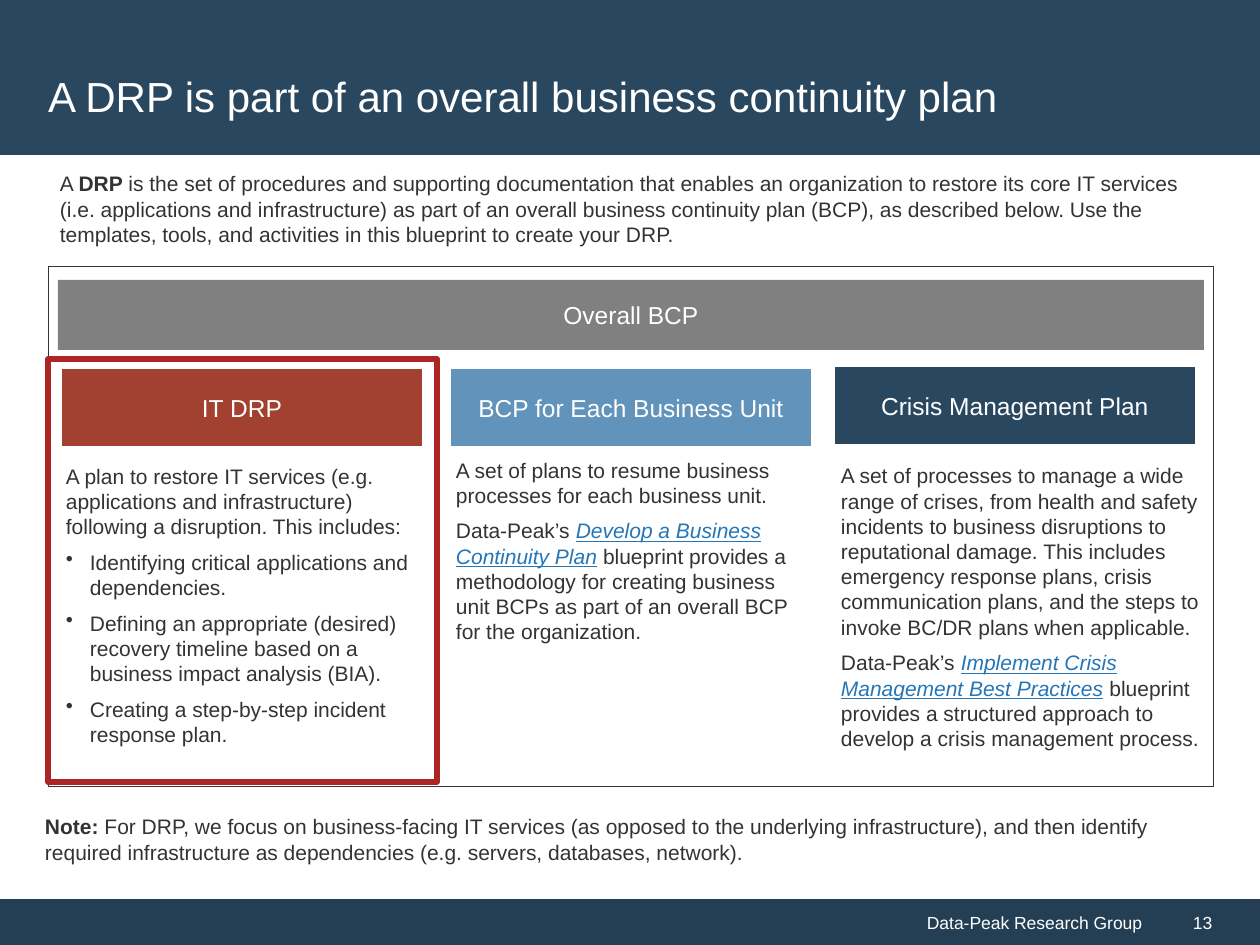
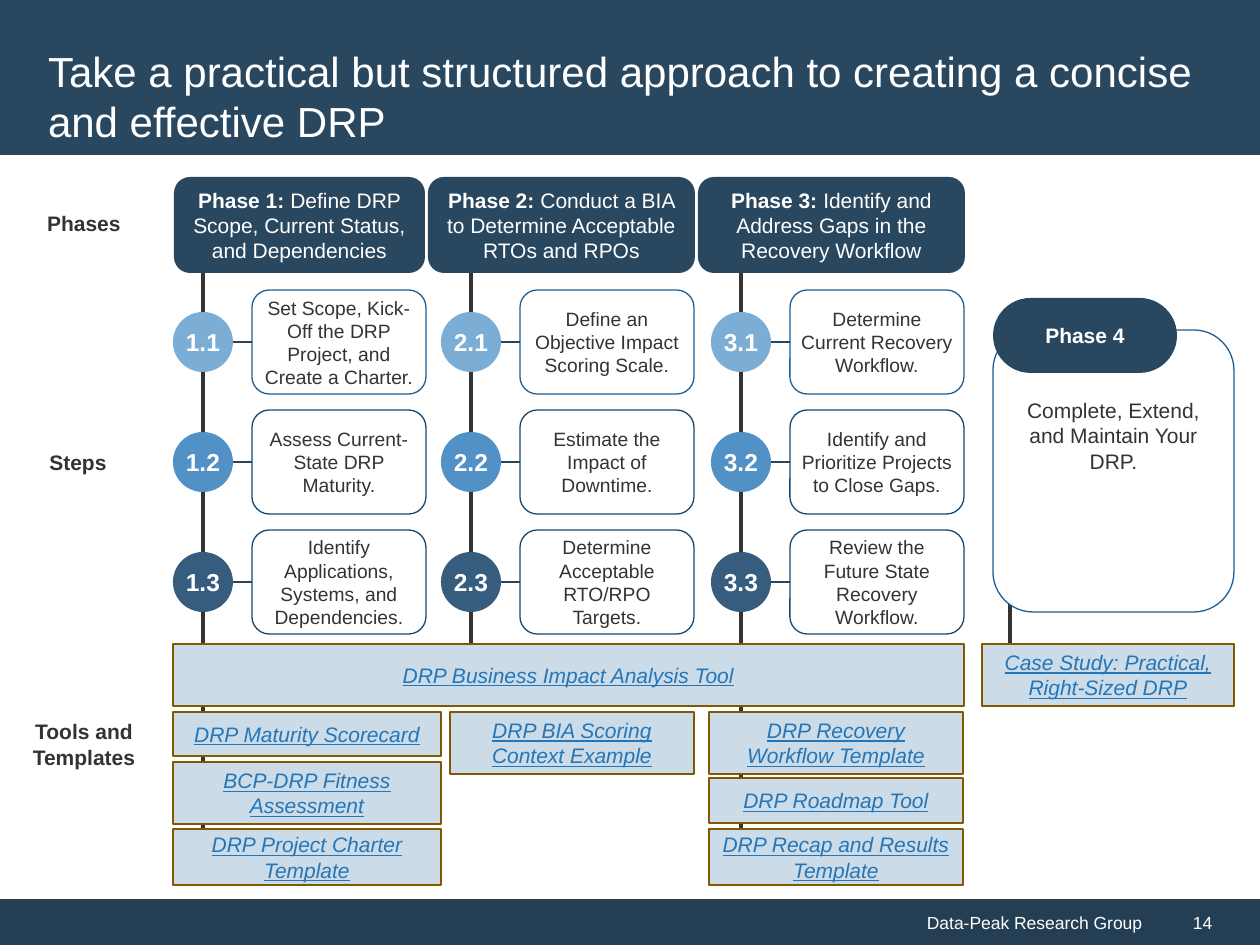
from dataclasses import dataclass

from lxml import etree
from pptx import Presentation
from pptx.dml.color import RGBColor
from pptx.enum.shapes import MSO_CONNECTOR, MSO_SHAPE
from pptx.enum.text import MSO_ANCHOR, PP_ALIGN
from pptx.oxml.ns import qn
from pptx.util import Emu, Pt

RECT, ROUND, OVAL = MSO_SHAPE.RECTANGLE, MSO_SHAPE.ROUNDED_RECTANGLE, MSO_SHAPE.OVAL
STRAIGHT = MSO_CONNECTOR.STRAIGHT
LEFT, CENTER, RIGHT = PP_ALIGN.LEFT, PP_ALIGN.CENTER, PP_ALIGN.RIGHT
TOP, MIDDLE = MSO_ANCHOR.TOP, MSO_ANCHOR.MIDDLE
LEFT_SIDE = 1
PX = 914400 / 126


@dataclass(frozen=True)
class Theme:
    font: str = "Arial"
    white: str = "FFFFFF"
    ink: str = "333333"
    navy: str = "29475F"
    footer: str = "243F54"
    link: str = "2576B7"
    gray: str = "808080"
    blue: str = "6294BB"
    rust: str = "A24130"
    red: str = "AD2525"
    joint: str = "27465E"
    tool_fill: str = "CBDBE7"
    tool_line: str = "825800"
    step_fills: tuple = ("7CADD4", "5191C5", "365D7E")
    step_lines: tuple = ("1E5E92", "16476E", "16476E")
    title_size: int = 24
    heading_size: int = 14
    body_size: int = 12
    step_size: int = 11
    footer_size: int = 10


THEME = Theme()
BOLD = {"bold": True}
LINK = {"color": THEME.link, "italic": True, "underline": True}


def add_block(slide, frame, text=(), kind=RECT, fill=None, line=None, line_width=0.75,
              size=THEME.body_size, color=THEME.ink, align=LEFT, anchor=MIDDLE,
              insets=(13, 6, 13, 6), before=0, after=0, spacing=None, **style):
    """Add a shape, or a text box if kind is None.

    text is one string or a list of paragraphs; a paragraph is a string or a
    list of runs, each a string or a (string, style) pair.
    """
    box = [Emu(round(value * PX)) for value in frame]
    if kind is None:
        shape = slide.shapes.add_textbox(*box)
    else:
        shape = slide.shapes.add_shape(kind, *box)
        shape.shadow.inherit = False
        if fill:
            shape.fill.solid()
            shape.fill.fore_color.rgb = RGBColor.from_string(fill)
        else:
            shape.fill.background()
        if line:
            shape.line.color.rgb = RGBColor.from_string(line)
            shape.line.width = Pt(line_width)
        else:
            shape.line.fill.background()
    text_frame = shape.text_frame
    text_frame.word_wrap = True
    text_frame.vertical_anchor = anchor
    for side, inset in zip(("left", "top", "right", "bottom"), insets):
        setattr(text_frame, f"margin_{side}", Emu(round(inset * PX)))
    for index, content in enumerate([text] if isinstance(text, str) else text):
        paragraph = text_frame.add_paragraph() if index else text_frame.paragraphs[0]
        paragraph.alignment = align
        paragraph.space_before, paragraph.space_after = Pt(before), Pt(after)
        if spacing:
            paragraph.line_spacing = spacing
        runs = [content] if isinstance(content, str) else content
        if isinstance(content, str) and content.startswith("• "):
            runs = [content[2:]]
            properties = paragraph._p.get_or_add_pPr()
            indent = round(24 * PX)
            properties.set("marL", str(indent))
            properties.set("indent", str(-indent))
            etree.SubElement(properties, qn("a:buChar"), char="•")
        for part in runs:
            words, extra = (part, {}) if isinstance(part, str) else part
            look = {"color": color, **style, **extra}
            run = paragraph.add_run()
            run.text = words
            run.font.name, run.font.size = THEME.font, Pt(size)
            run.font.color.rgb = RGBColor.from_string(look.pop("color"))
            for name, value in look.items():
                setattr(run.font, name, value)
    return shape


def add_line(slide, start, end, color, width):
    points = [Emu(round(value * PX)) for value in (*start, *end)]
    connector = slide.shapes.add_connector(STRAIGHT, *points)
    connector.line.color.rgb = RGBColor.from_string(color)
    connector.line.width = Pt(width)
    etree.SubElement(connector._element.spPr, qn("a:effectLst"))
    return connector


presentation = Presentation()
presentation.slide_width, presentation.slide_height = Emu(round(1260 * PX)), Emu(round(945 * PX))

# Title band and footer on both slides
TITLES = {
    13: "A DRP is part of an overall business continuity plan",
    14: "Take a practical but structured approach to creating a concise and effective DRP",
}
slides = []
for number, title in TITLES.items():
    slide = presentation.slides.add_slide(presentation.slide_layouts[6])
    footer = {"fill": THEME.footer, "size": THEME.footer_size, "color": THEME.white}
    add_block(slide, (0, 899, 1155, 46), "Data-Peak Research Group", align=RIGHT, **footer)
    add_block(slide, (1155, 899, 105, 46), str(number), insets=(38, 6, 13, 6), **footer)
    add_block(slide, (0, 0, 1260, 155), fill=THEME.navy)
    add_block(slide, (35, 35, 1188, 121), title, kind=None,
              size=THEME.title_size, color=THEME.white)
    slides.append(slide)
bcp_slide, roadmap_slide = slides

# Slide 13: parts of the business continuity plan
add_block(bcp_slide, (47, 165, 1162, 90), [[
    "A ", ("DRP ", BOLD),
    "is the set of procedures and supporting documentation that enables an organization to "
    "restore its core IT services (i.e. applications and infrastructure) as part of an overall "
    "business continuity plan (BCP), as described below. Use the templates, tools, and "
    "activities in this blueprint to create your DRP."]], kind=None, anchor=TOP, before=6)
add_block(bcp_slide, (32, 807, 1191, 64), [[
    ("Note:", BOLD),
    " For DRP, we focus on business-facing IT services (as opposed to the underlying "
    "infrastructure), and then identify required infrastructure as dependencies (e.g. servers, "
    "databases, network)."]], kind=None, anchor=TOP, before=6, after=6, spacing=1.02)
add_block(bcp_slide, (48, 266, 1165, 520), line=THEME.ink, line_width=0.5)
heading = {"size": THEME.heading_size, "color": THEME.white, "align": CENTER}
add_block(bcp_slide, (58, 280, 1146, 70), "Overall BCP", fill=THEME.gray, **heading)
add_block(bcp_slide, (48, 359, 389, 423), line=THEME.red, line_width=3)

PLAN_PARTS = [
    ("IT DRP", THEME.rust, (60, 367), (53, 457, 379, 299), 3, 3, [
        "A plan to restore IT services (e.g. applications and infrastructure) following a "
        "disruption. This includes:",
        "• Identifying critical applications and dependencies.",
        "• Defining an appropriate (desired) recovery timeline based on a business impact "
        "analysis (BIA).",
        "• Creating a step-by-step incident response plan."]),
    ("BCP for Each Business Unit", THEME.blue, (449, 367), (443, 451, 383, 243), 3, 3, [
        "A set of plans to resume business processes for each business unit.",
        ["Data-Peak’s ", ("Develop a Business Continuity Plan", LINK),
         " blueprint provides a methodology for creating business unit BCPs as part of an "
         "overall BCP for the organization."]]),
    ("Crisis Management Plan", THEME.navy, (833, 365), (828, 457, 396, 304), 6, 0, [
        "A set of processes to manage a wide range of crises, from health and safety incidents "
        "to business disruptions to reputational damage. This includes emergency response "
        "plans, crisis communication plans, and the steps to invoke BC/DR plans when "
        "applicable.",
        ["Data-Peak’s ", ("Implement Crisis Management Best Practices", LINK),
         " blueprint provides a structured approach to develop a crisis management process."]]),
]
for name, fill, corner, text_area, before, after, description in PLAN_PARTS:
    add_block(bcp_slide, text_area, description, kind=None, anchor=TOP,
              before=before, after=after)
    add_block(bcp_slide, (*corner, 364, 81), name, fill=fill, line=THEME.white,
              line_width=2, **heading)

# Slide 14: row labels
for label, frame in [("Phases", (33, 205, 102, 38)), ("Steps", (34, 444, 88, 38)),
                     ("Tools and Templates", (18, 713, 132, 63))]:
    add_block(roadmap_slide, frame, label, kind=None, anchor=TOP, align=CENTER, bold=True)

# Phases with their steps: name, goal, phase left and width, first circle left, spine end, steps
PHASES = [
    ("Phase 1: ", "Define DRP Scope, Current Status, and Dependencies", 174, 251, 173, 850,
     ["Set Scope, Kick-Off the DRP Project, and Create a Charter.",
      "Assess Current-State DRP Maturity.",
      "Identify Applications, Systems, and Dependencies."]),
    ("Phase 2: ", "Conduct a BIA to Determine Acceptable RTOs and RPOs", 428, 267, 441, 675,
     ["Define an Objective Impact Scoring Scale.",
      "Estimate the Impact of Downtime.",
      "Determine Acceptable RTO/RPO Targets."]),
    ("Phase 3: ", "Identify and Address Gaps in the Recovery Workflow", 698, 267, 711, 850,
     ["Determine Current Recovery Workflow.",
      "Identify and Prioritize Projects to Close Gaps.",
      "Review the Future State Recovery Workflow."]),
]
CIRCLE, STEP_HEIGHT = 60, 104
STEP_INSETS = (5, 6, 5, 6)
for phase, (name, goal, left, width, circle_left, spine_end, steps) in enumerate(PHASES, 1):
    spine = circle_left + CIRCLE // 2
    add_line(roadmap_slide, (spine, 233), (spine, spine_end), THEME.ink, 2)
    add_block(roadmap_slide, (left, 177, width, 96), [[(name, BOLD), goal]], kind=ROUND,
              fill=THEME.navy, color=THEME.white, align=CENTER)
    for row, step in enumerate(steps):
        top = 290 + 120 * row
        middle = top + STEP_HEIGHT // 2
        step_box = add_block(roadmap_slide, (circle_left + 79, top, 174, STEP_HEIGHT), step,
                             kind=ROUND, fill=THEME.white, line=THEME.step_lines[row],
                             size=THEME.step_size, align=CENTER, insets=STEP_INSETS)
        joint = add_line(roadmap_slide, (circle_left + CIRCLE, middle),
                         (circle_left + 79, middle), THEME.joint, 1.5)
        joint.end_connect(step_box, LEFT_SIDE)
        add_block(roadmap_slide, (circle_left, middle - CIRCLE // 2, CIRCLE, CIRCLE),
                  f"{phase}.{row + 1}", kind=OVAL, fill=THEME.step_fills[row],
                  insets=(0, 0, 0, 0), bold=True, **heading)

# Phase 4 stands beside the steps
add_line(roadmap_slide, (1010, 515), (1010, 694), THEME.ink, 2)
add_block(roadmap_slide, (993, 330, 241, 282), "Complete, Extend, and Maintain Your DRP.",
          kind=ROUND, fill=THEME.white, line=THEME.step_lines[0], align=CENTER, anchor=TOP,
          insets=(5, 56, 5, 6))
pill = add_block(roadmap_slide, (993, 298, 184, 75), "Phase 4", kind=ROUND, fill=THEME.navy,
                 color=THEME.white, align=CENTER, bold=True)
pill.adjustments[0] = 0.5

TOOLS = [
    ("DRP Business Impact Analysis Tool", (173, 644, 791, 62)),
    ("Case Study: Practical, Right-Sized DRP", (982, 644, 252, 62)),
    ("DRP Maturity Scorecard", (173, 712, 268, 44)),
    ("BCP-DRP Fitness Assessment", (173, 762, 268, 62)),
    ("DRP Project Charter Template", (173, 829, 268, 56)),
    ("DRP BIA Scoring Context Example", (450, 712, 244, 62)),
    ("DRP Recovery Workflow Template", (709, 712, 254, 62)),
    ("DRP Roadmap Tool", (709, 778, 254, 45)),
    ("DRP Recap and Results Template", (709, 829, 254, 56)),
]
for tool, frame in TOOLS:
    add_block(roadmap_slide, frame, tool, fill=THEME.tool_fill, line=THEME.tool_line,
              align=CENTER, **LINK)

presentation.save("out.pptx")
